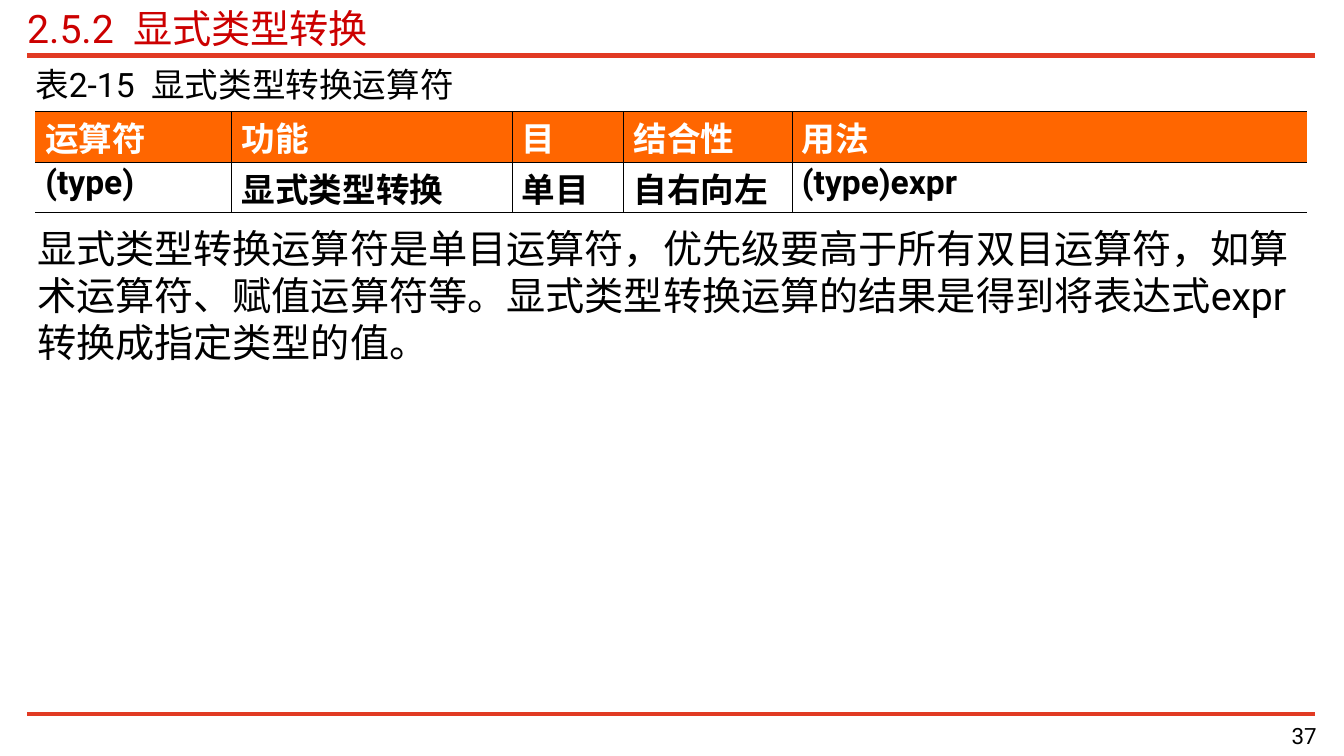
"""Build the slide on the explicit type conversion operator."""
from dataclasses import dataclass

from lxml import etree
from pptx import Presentation
from pptx.dml.color import RGBColor
from pptx.enum.shapes import MSO_CONNECTOR
from pptx.enum.text import MSO_ANCHOR, MSO_AUTO_SIZE, PP_ALIGN
from pptx.oxml.ns import qn
from pptx.util import Inches, Pt

LEFT, RIGHT = PP_ALIGN.LEFT, PP_ALIGN.RIGHT
TOP, MIDDLE = MSO_ANCHOR.TOP, MSO_ANCHOR.MIDDLE
FIXED = MSO_AUTO_SIZE.NONE
STRAIGHT = MSO_CONNECTOR.STRAIGHT

RED = RGBColor(0xCC, 0x00, 0x00)
RULE = RGBColor(0xE1, 0x3A, 0x23)
ORANGE = RGBColor(0xFF, 0x66, 0x00)
WHITE = RGBColor(0xFF, 0xFF, 0xFF)
BLACK = RGBColor(0x00, 0x00, 0x00)

FONT = "Roboto"
EDGE, WIDE = 0.27, 12.78
PAD = (0.1, 0.05)
COLS = (1.95, 2.78, 1.11, 1.67, 5.11)
HIGH = 0.5
CELL = {"margin_top": Inches(0.01), "margin_bottom": 0}
ROWS = (
    ("运算符", "功能", "目", "结合性", "用法"),
    ("(type)", "显式类型转换", "单目", "自右向左", "(type)expr"),
)


@dataclass
class Label:
    """A block of text with its place and format."""
    text: str
    box: tuple[float, float, float, float]
    size: int
    color: RGBColor = BLACK
    pad: tuple[float, float] = (0, 0)
    align: PP_ALIGN = LEFT
    anchor: MSO_ANCHOR = TOP


@dataclass
class Rule:
    """A horizontal line across the slide."""
    top: float
    width: float


TITLE = Label("2.5.2  显式类型转换", (EDGE, 0.04, WIDE, 0.47), 28, RED, anchor=MIDDLE)
LABELS = (
    Label("表2-15  显式类型转换运算符", (0.35, 0.63, 12.64, 0.4), 24),
    Label("显式类型转换运算符是单目运算符，优先级要高于所有双目运算符，如算术运算符、"
          "赋值运算符等。显式类型转换运算的结果是得到将表达式expr转换成指定类型的值。",
          (EDGE, 2.18, WIDE, 4.8), 28, pad=PAD),
    Label("37", (10.39, 7.16, 2.68, 0.31), 16, align=RIGHT),
)
RULES = (Rule(0.55, 4), Rule(7.08, 3))


def apply(item, form: dict) -> None:
    """Set each named value on the item."""
    for name, value in form.items():
        setattr(item, name, value)


def style(para, size: int, color: RGBColor, bold: bool = False) -> None:
    """Format the font of a paragraph."""
    apply(para.font, {"name": FONT, "size": Pt(size), "bold": bold})
    para.font.color.rgb = color


def write(shape, label: Label) -> None:
    """Place a shape and fill it with the label."""
    left, top, width, height = map(Inches, label.box)
    apply(shape, {"left": left, "top": top, "width": width, "height": height})
    side, end = map(Inches, label.pad)
    frame = shape.text_frame
    apply(frame, {
        "text": label.text, "word_wrap": True, "auto_size": FIXED,
        "vertical_anchor": label.anchor, "margin_left": side,
        "margin_right": side, "margin_top": end, "margin_bottom": end,
    })
    para = frame.paragraphs[0]
    para.alignment = label.align
    style(para, label.size, label.color)


def draw_rule(slide, rule: Rule) -> None:
    """Draw one red line."""
    y = Inches(rule.top)
    line = slide.shapes.add_connector(
        STRAIGHT, Inches(EDGE), y, Inches(EDGE + WIDE), y)
    apply(line.line, {"width": Pt(rule.width)})
    line.line.color.rgb = RULE
    props = line._element.spPr
    etree.SubElement(props, qn("a:effectLst"))


def add_edges(cell, col: int) -> None:
    """Give a cell its borders, open at the outer sides."""
    props = cell._tc.get_or_add_tcPr()
    sides = (("L", 0.45 if col else 0),
             ("R", 0.45 if col < len(COLS) - 1 else 0),
             ("T", 0.62), ("B", 0.62))
    for side, width in sides:
        line = etree.SubElement(props, qn(f"a:ln{side}"), w=str(Pt(width)))
        if width:
            fill = etree.SubElement(line, qn("a:solidFill"))
            etree.SubElement(fill, qn("a:srgbClr"), val=str(BLACK))
        else:
            etree.SubElement(line, qn("a:noFill"))


def draw_table(slide) -> None:
    """Draw the table of operators."""
    table = slide.shapes.add_table(
        len(ROWS), len(COLS), Inches(0.35), Inches(1.11),
        Inches(sum(COLS)), Inches(HIGH * len(ROWS))).table
    table.horz_banding = False
    for col, width in enumerate(COLS):
        table.columns[col].width = Inches(width)
    for row, words in enumerate(ROWS):
        table.rows[row].height = Inches(HIGH)
        for col, word in enumerate(words):
            cell = table.cell(row, col)
            apply(cell, {"text": word, **CELL})
            style(cell.text_frame.paragraphs[0], 24, BLACK if row else WHITE, True)
            add_edges(cell, col)
            if row:
                cell.fill.background()
            else:
                cell.fill.solid()
                cell.fill.fore_color.rgb = ORANGE


def main() -> None:
    """Build and save the slide."""
    deck = Presentation()
    apply(deck, {"slide_width": Inches(13.34), "slide_height": Inches(7.5)})
    slide = deck.slides.add_slide(deck.slide_layouts[5])
    for rule in RULES:
        draw_rule(slide, rule)
    write(slide.shapes.title, TITLE)
    draw_table(slide)
    for label in LABELS:
        box = slide.shapes.add_textbox(*map(Inches, label.box))
        write(box, label)
    deck.save("out.pptx")


if __name__ == "__main__":
    main()
